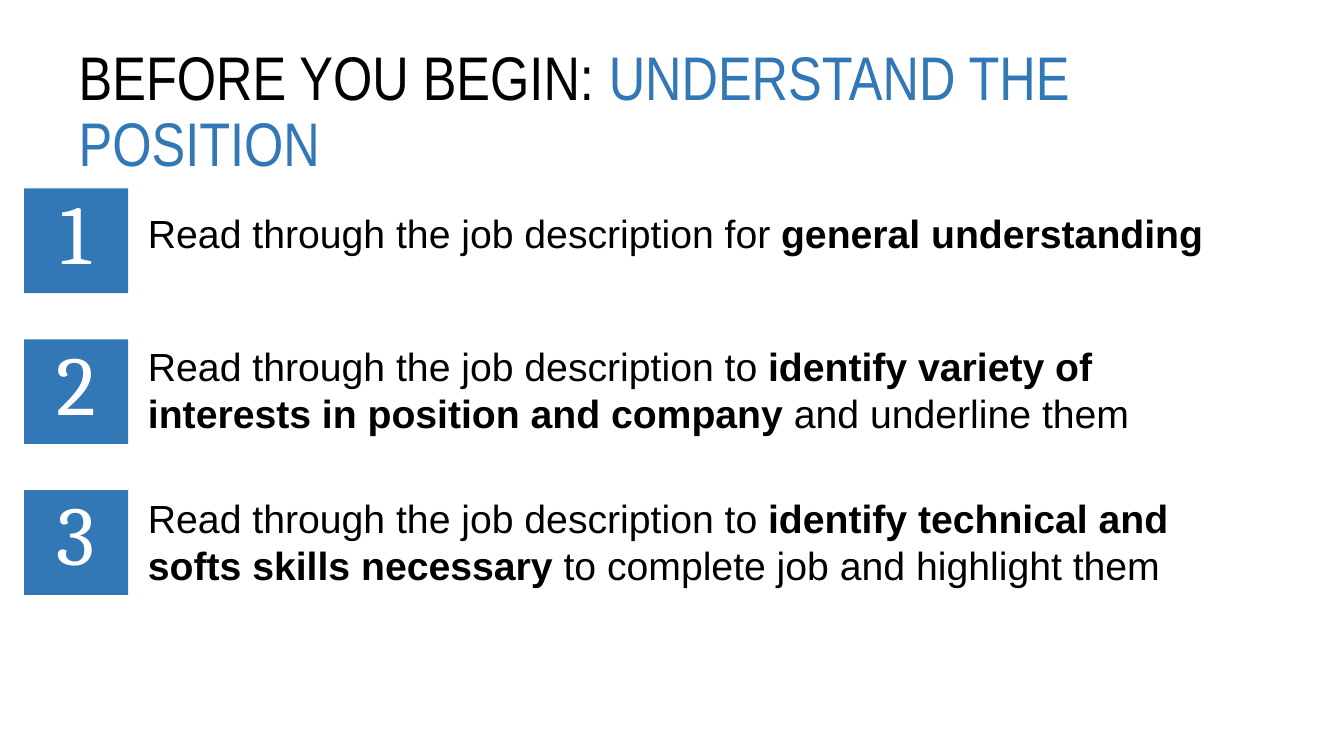
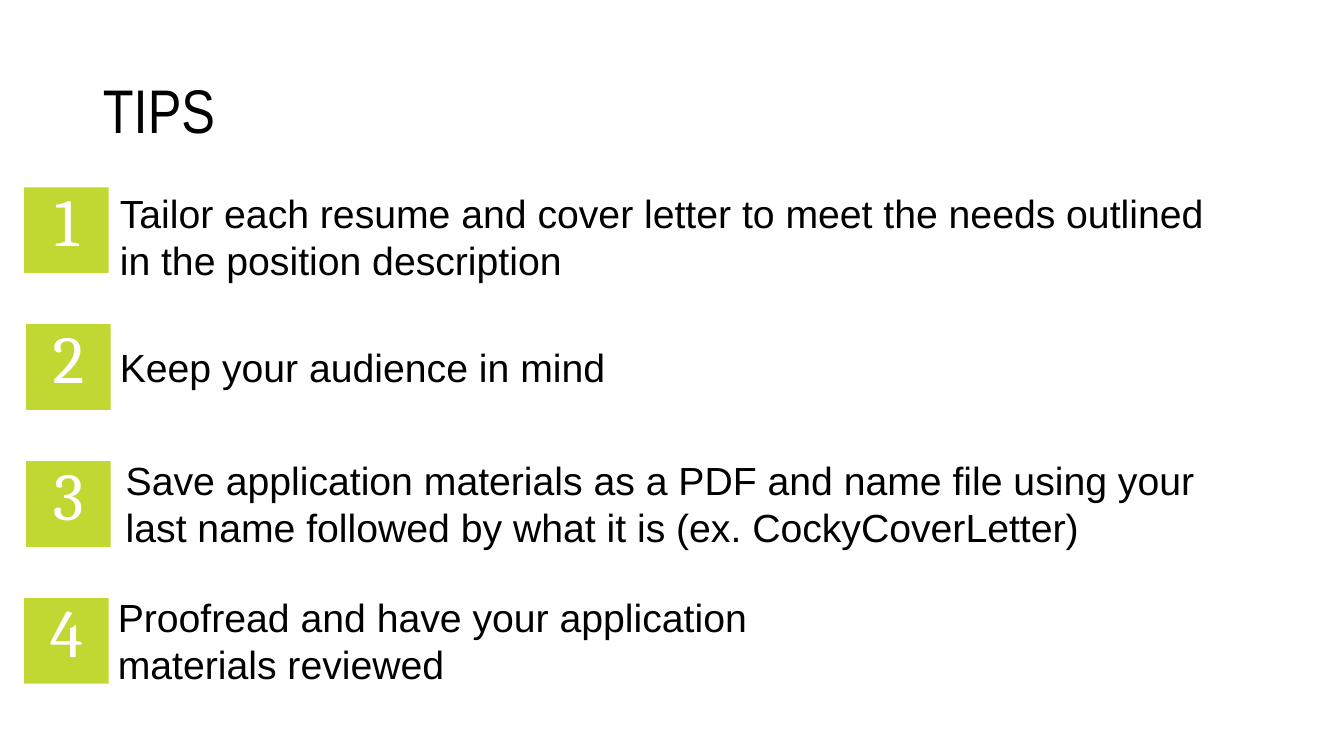
import pptx
import pptx.dml.color
import pptx.enum.shapes
import pptx.enum.text
import pptx.util

Cm = pptx.util.Cm
Pt = pptx.util.Pt
RGBColor = pptx.dml.color.RGBColor

BLACK = RGBColor(0x00, 0x00, 0x00)
WHITE = RGBColor(0xFF, 0xFF, 0xFF)
BLUE = RGBColor(0x32, 0x77, 0xB6)
GREEN = RGBColor(0xC1, 0xD8, 0x32)

TITLE_TOP, TITLE_RIGHT, TITLE_HEIGHT = 1.02, 31.55, 3.68
TEXT_WIDTH = 28.04
LINE_HEIGHT, TEXT_PADDING = 1.19, 0.26

SLIDES = [
    {
        "title": [("BEFORE YOU BEGIN: ", BLACK), ("UNDERSTAND THE POSITION", BLUE)],
        "title_left": 1.73,
        "color": BLUE,
        "badge_size": (2.62, 2.64),
        "badge_top": 4.75,
        "badge_pitch": 3.8,
        "number_size": 60,
        "steps": [
            (0.61, 3.48, 5.16, TEXT_WIDTH, 1, [
                ("Read through the job description for ", False),
                ("general understanding", True)]),
            (0.61, 3.48, 8.51, TEXT_WIDTH, 2, [
                ("Read through the job description to ", False),
                ("identify variety of interests in position and company", True),
                (" and underline them", False)]),
            (0.61, 3.48, 12.34, TEXT_WIDTH, 2, [
                ("Read through the job description to ", False),
                ("identify technical and softs skills necessary ", True),
                ("to complete job and highlight them", False)]),
        ],
    },
    {
        "title": [("TIPS", BLACK)],
        "title_left": 2.34,
        "color": GREEN,
        "badge_size": (2.13, 2.16),
        "badge_top": 4.72,
        "badge_pitch": 3.45,
        "number_size": 48,
        "steps": [
            (0.61, 2.77, 4.65, TEXT_WIDTH, 2, [
                ("Tailor each resume and cover letter to meet the needs "
                 "outlined in the position description", False)]),
            (0.66, 2.77, 8.53, TEXT_WIDTH, 1, [("Keep your audience in mind", False)]),
            (0.66, 2.92, 11.38, TEXT_WIDTH, 2, [
                ("Save application materials as a PDF and name file using your "
                 "last name followed by what it is (ex. CockyCoverLetter)", False)]),
            (0.61, 2.72, 14.83, 17.4, 2, [
                ("Proofread and have your application materials reviewed", False)]),
        ],
    },
]


def style_paragraph(paragraph, font_name, size, color, alignment):
    paragraph.alignment = alignment
    paragraph.font.name = font_name
    paragraph.font.size = Pt(size)
    paragraph.font.color.rgb = color


presentation = pptx.Presentation()
presentation.slide_width = Cm(33.87)
presentation.slide_height = Cm(19.05)
title_only = presentation.slide_layouts[5]
LEFT = pptx.enum.text.PP_ALIGN.LEFT
CENTER = pptx.enum.text.PP_ALIGN.CENTER
MIDDLE = pptx.enum.text.MSO_ANCHOR.MIDDLE

for content in SLIDES:
    slide = presentation.slides.add_slide(title_only)

    title = slide.shapes.title
    title.left, title.top = Cm(content["title_left"]), Cm(TITLE_TOP)
    title.width = Cm(TITLE_RIGHT - content["title_left"])
    title.height = Cm(TITLE_HEIGHT)
    title.text_frame.auto_size = pptx.enum.text.MSO_AUTO_SIZE.NONE
    title.text_frame.vertical_anchor = MIDDLE
    paragraph = title.text_frame.paragraphs[0]
    style_paragraph(paragraph, "Arial Narrow", 44, BLACK, LEFT)
    paragraph.line_spacing = 0.9
    for text, color in content["title"]:
        run = paragraph.add_run()
        run.text = text
        run.font.color.rgb = color

    badge_width, badge_height = content["badge_size"]
    for index, step in enumerate(content["steps"]):
        badge_left, text_left, text_top, text_width, line_count, runs = step
        badge_top = content["badge_top"] + index * content["badge_pitch"]

        badge = slide.shapes.add_shape(
            pptx.enum.shapes.MSO_SHAPE.RECTANGLE,
            Cm(badge_left), Cm(badge_top), Cm(badge_width), Cm(badge_height))
        badge.shadow.inherit = False
        badge.fill.solid()
        badge.fill.fore_color.rgb = content["color"]
        badge.line.fill.background()
        frame = badge.text_frame
        frame.vertical_anchor = MIDDLE
        frame.margin_top = Cm(0)
        frame.margin_bottom = Cm(0.51)
        frame.text = str(index + 1)
        style_paragraph(frame.paragraphs[0], "Cambria", content["number_size"], WHITE, CENTER)

        box = slide.shapes.add_textbox(
            Cm(text_left), Cm(text_top), Cm(text_width),
            Cm(line_count * LINE_HEIGHT + TEXT_PADDING))
        box.text_frame.word_wrap = True
        box.text_frame.auto_size = pptx.enum.text.MSO_AUTO_SIZE.SHAPE_TO_FIT_TEXT
        paragraph = box.text_frame.paragraphs[0]
        style_paragraph(paragraph, "Arial", 28, BLACK, LEFT)
        for text, bold in runs:
            run = paragraph.add_run()
            run.text = text
            run.font.bold = bold

presentation.save("out.pptx")
